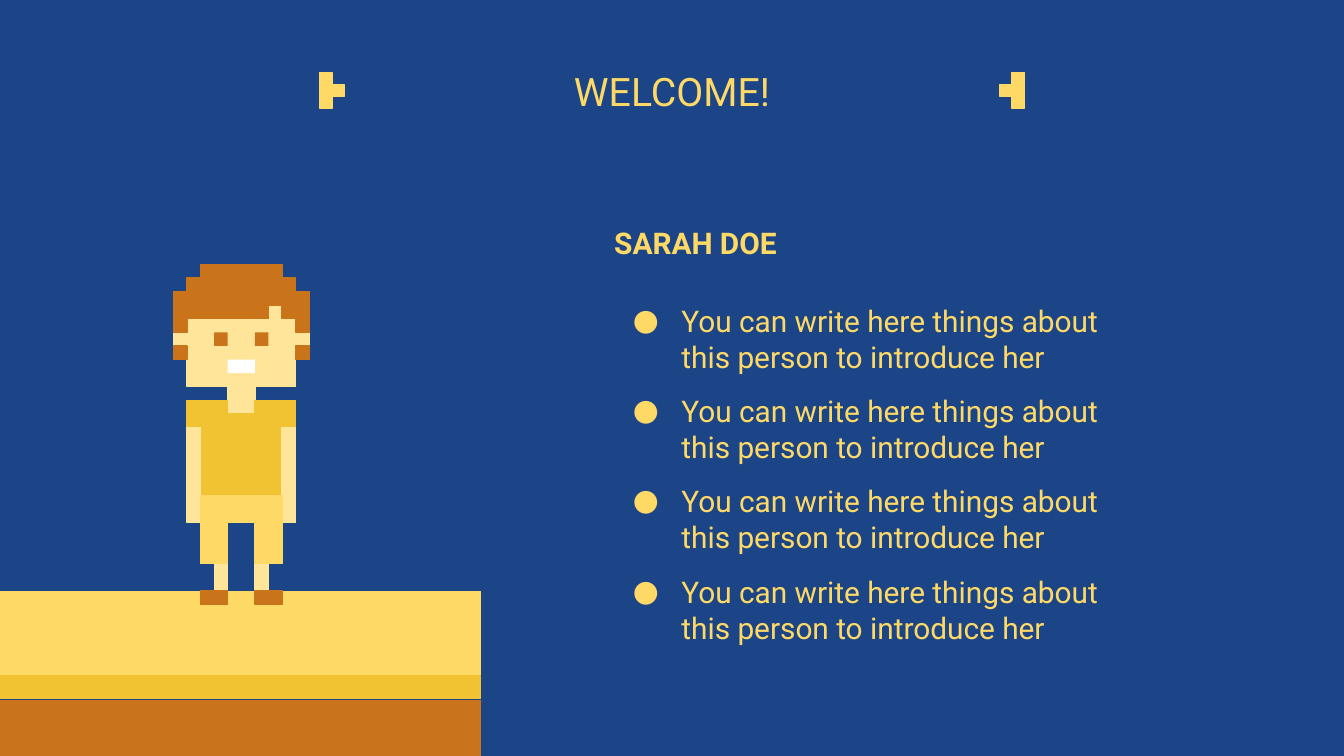
from dataclasses import dataclass

from lxml import etree
from pptx import Presentation
from pptx.dml.color import RGBColor
from pptx.enum import shapes, text
from pptx.oxml.ns import qn
from pptx.util import Pt


@dataclass(frozen=True)
class Theme:
    """Colours, font and type sizes of the slide."""
    night: str = "1C4587"
    yellow: str = "FFD966"
    gold: str = "F1C232"
    brown: str = "C9741B"
    skin: str = "FFE599"
    white: str = "FFFFFF"
    font: str = "Roboto"
    title: float = 21
    body: float = 16
    outline: float = 0.75


THEME = Theme()
BULLET_INDENT = 26
INTRODUCTION = ["You can write here things about this person to introduce her"] * 4

HAIR = [(2, 0), (2, 1), (1, 1), (1, 2), (0, 2), (0, 5), (1, 5), (1, 4), (7, 4), (7, 3),
        (8, 3), (8, 4), (9, 4), (9, 5), (10, 5), (10, 2), (9, 2), (9, 1), (8, 1), (8, 0)]
FACE = [(7, 3), (7, 4), (1, 4), (1, 5), (0, 5), (0, 6), (1, 6), (1, 9), (4, 9), (4, 11),
        (6, 11), (6, 9), (9, 9), (9, 6), (10, 6), (10, 5), (9, 5), (9, 4), (8, 4), (8, 3)]
SHIRT = [(1, 10), (1, 12), (2, 12), (2, 17), (8, 17), (8, 12), (9, 12), (9, 10),
         (6, 10), (6, 11), (4, 11), (4, 10)]
SHORTS = [(2, 17), (2, 22), (4, 22), (4, 19), (6, 19), (6, 22), (8, 22), (8, 17)]


def paint(shape, color, outlined=True):
    """Give a shape a flat fill and, if wanted, a line of the same colour."""
    shape.shadow.inherit = False
    shape.fill.solid()
    shape.fill.fore_color.rgb = RGBColor.from_string(color)
    if outlined:
        shape.line.color.rgb = RGBColor.from_string(color)
        shape.line.width = Pt(THEME.outline)
    else:
        shape.line.fill.background()


def add_block(slide, box, color, outlined=True):
    """Add a flat rectangle."""
    block = slide.shapes.add_shape(shapes.MSO_SHAPE.RECTANGLE, *map(Pt, box))
    paint(block, color, outlined)


def add_outline(slide, origin, cell, corners, color):
    """Add a closed outline whose corners are grid cells counted from the origin."""
    points = [tuple(Pt(start + cell * step) for start, step in zip(origin, corner))
              for corner in corners]
    builder = slide.shapes.build_freeform(*points[0])
    builder.add_line_segments(points[1:], close=True)
    paint(builder.convert_to_shape(), color)


def add_ground(slide, box):
    """Stack the layers of ground downward from the top of the box."""
    left, top, width, height = box
    for offset, depth, color in ((0, 44.6, THEME.yellow), (45.4, 12.2, THEME.gold),
                                 (58.4, height - 58.4, THEME.brown)):
        add_block(slide, (left, top + offset, width, depth), color)


def add_person(slide, box):
    """Draw the pixel person on a grid ten cells wide."""
    left, top, width, _ = box
    cell = width / 10

    def cells(column, row, columns, rows, color, outlined=True):
        """Fill a rectangle of grid cells."""
        add_block(slide, (left + column * cell, top + row * cell, columns * cell, rows * cell),
                  color, outlined)

    for shin in (6, 3):
        cells(shin, 22, 1, 2, THEME.skin)
    add_outline(slide, (left, top), cell, FACE, THEME.skin)
    add_outline(slide, (left, top), cell, SHIRT, THEME.gold)
    for eye in (6, 3):
        cells(eye, 5, 1, 1, THEME.brown, False)
    cells(4, 7, 2, 1, THEME.white, False)
    for arm in (8, 1):
        cells(arm, 12, 1, 7, THEME.skin)
    for shoe in (6, 2):
        cells(shoe, 24, 2, 1, THEME.brown)
    add_outline(slide, (left, top), cell, HAIR, THEME.brown)
    add_outline(slide, (left, top), cell, SHORTS, THEME.yellow)
    for sideburn in (0, 9):
        cells(sideburn, 6, 1, 1, THEME.brown)


def add_title_mark(slide, box, points_right):
    """Build a mark of four squares: a column of three and a tip."""
    left, top, width, _ = box
    cell = width / 2
    column, tip = (0, 1) if points_right else (1, 0)
    for across, down in ((column, 0), (column, 1), (column, 2), (tip, 1)):
        add_block(slide, (left + across * cell, top + down * cell, cell, cell), THEME.yellow)


def add_text(slide, box, lines, size, anchor=text.MSO_ANCHOR.BOTTOM, align=None,
             bold=False, bulleted=False):
    """Add a text box with one paragraph for each line."""
    frame = slide.shapes.add_textbox(*map(Pt, box)).text_frame
    frame.word_wrap = True
    frame.vertical_anchor = anchor
    frame.margin_left = frame.margin_right = frame.margin_top = frame.margin_bottom = Pt(7.2)
    frame.text = "\n".join(lines)
    for paragraph in frame.paragraphs:
        if bulleted:
            add_bullet(paragraph)
        paragraph.alignment = align
        for run in paragraph.runs:
            run.font.name = THEME.font
            run.font.size = Pt(size)
            run.font.bold = bold
            run.font.color.rgb = RGBColor.from_string(THEME.yellow)
    return frame


def add_bullet(paragraph):
    """Give a paragraph a round yellow bullet and a hanging indent."""
    properties = paragraph._p.get_or_add_pPr()
    properties.set("marL", str(Pt(36)))
    properties.set("indent", str(-Pt(BULLET_INDENT)))
    color = etree.SubElement(properties, qn("a:buClr"))
    etree.SubElement(color, qn("a:srgbClr"), val=THEME.yellow)
    etree.SubElement(properties, qn("a:buFont"), typeface=THEME.font)
    etree.SubElement(properties, qn("a:buChar"), char="●")


def add_introduction(slide, box):
    """Place the name above the bulleted introduction."""
    left, top, width, height = box
    name_height = 97.2
    list_top = top + 105.1
    add_text(slide, (left, top, 244, name_height), ["SARAH DOE"], THEME.body, bold=True)
    frame = add_text(slide, (left, list_top, width, top + height - list_top), INTRODUCTION,
                     THEME.body, text.MSO_ANCHOR.TOP, bulleted=True)
    for paragraph in frame.paragraphs[1:]:
        paragraph.space_before = Pt(10)


def add_header(slide, box):
    """Centre the title between two facing marks."""
    left, top, width, _ = box
    mark_width, mark_height, inset = 13, 19.5, 146.8
    add_text(slide, box, ["WELCOME!"], THEME.title, align=text.PP_ALIGN.CENTER)
    for mark_left, points_right in ((left + inset, True),
                                    (left + width - inset - mark_width, False)):
        add_title_mark(slide, (mark_left, top + 15.8, mark_width, mark_height), points_right)


def main():
    """Build the welcome slide and save it."""
    presentation = Presentation()
    presentation.slide_width, presentation.slide_height = Pt(720), Pt(405)
    slide = presentation.slides.add_slide(presentation.slide_layouts[6])
    slide.background.fill.solid()
    slide.background.fill.fore_color.rgb = RGBColor.from_string(THEME.night)
    add_ground(slide, (0, 316.8, 257.6, 103))
    add_person(slide, (92.9, 141.7, 72.8, 182))
    add_introduction(slide, (322, 49.7, 302.4, 301))
    add_header(slide, (24.5, 23, 671, 45.4))
    presentation.save("out.pptx")


if __name__ == "__main__":
    main()
